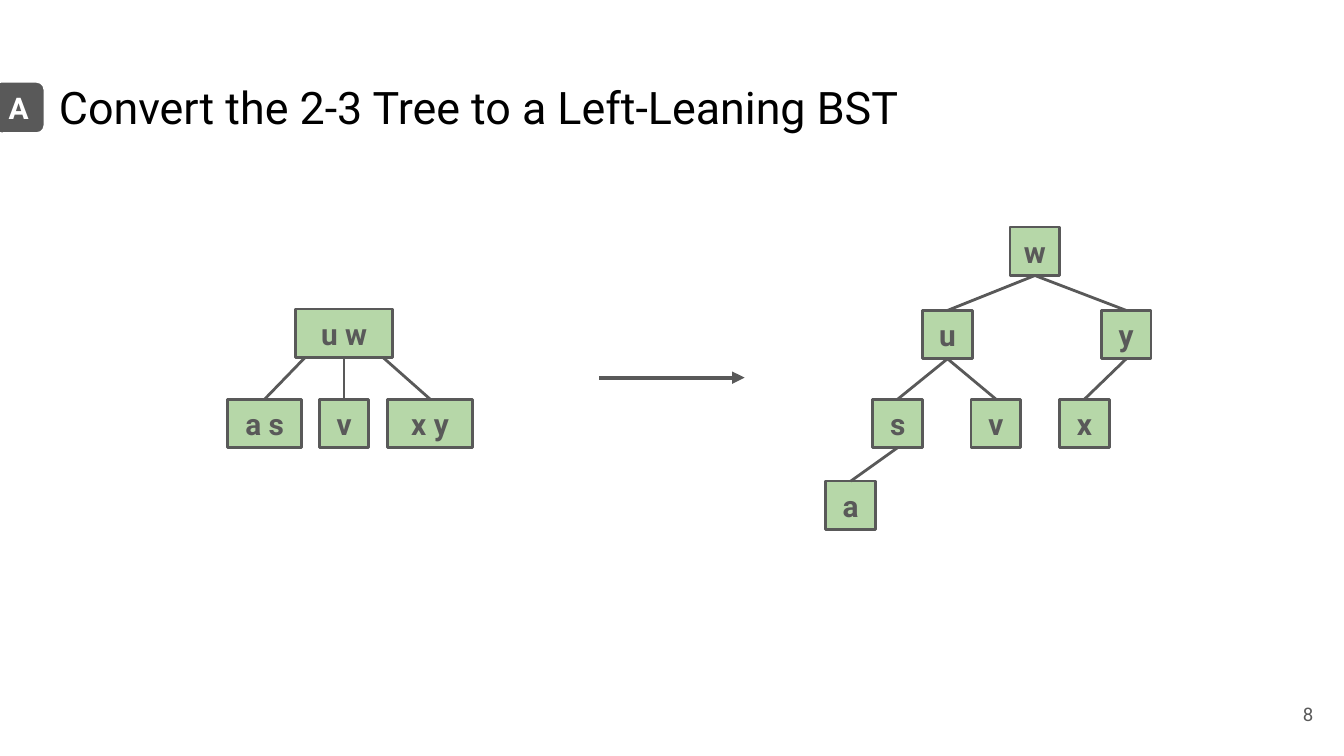
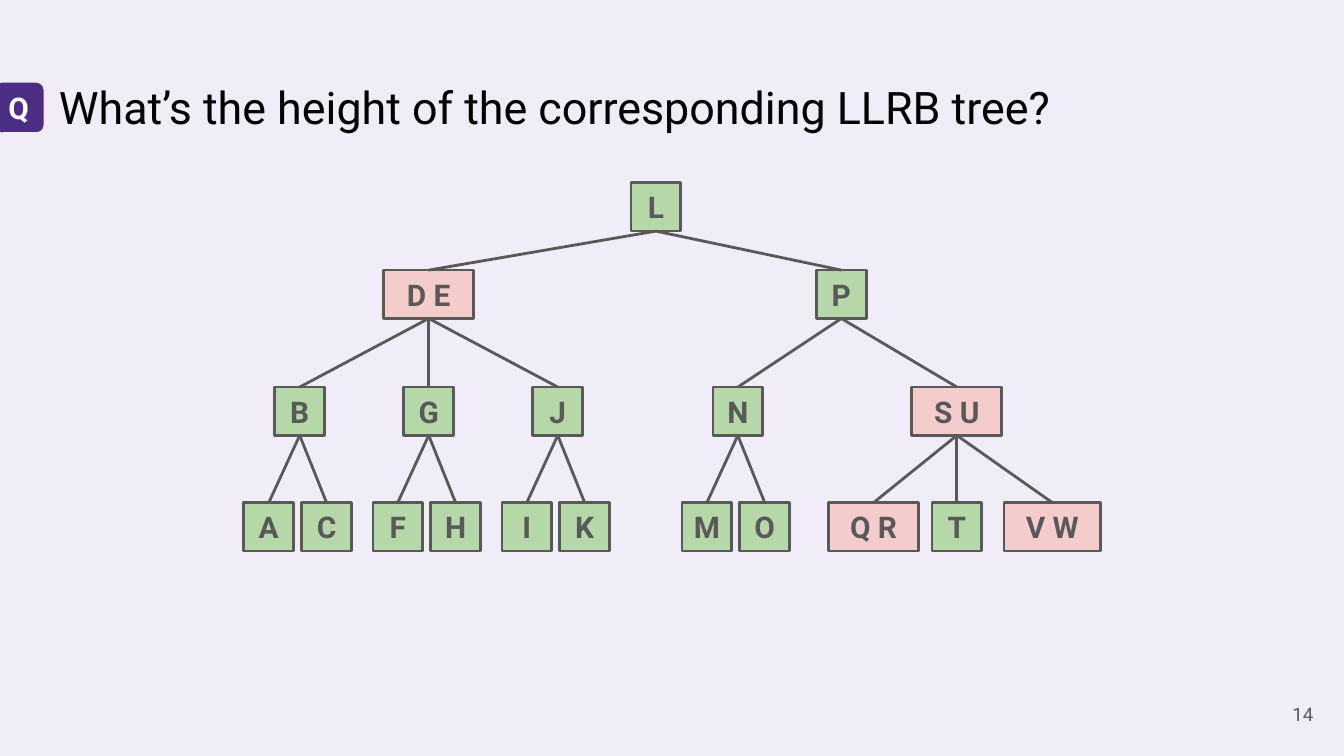
from dataclasses import dataclass

from lxml.etree import SubElement
from pptx import Presentation
from pptx.dml.color import RGBColor
from pptx.enum.shapes import MSO_CONNECTOR as CONN, MSO_SHAPE as SHAPE
from pptx.enum.text import MSO_ANCHOR as ANCHOR, PP_ALIGN as ALIGN
from pptx.oxml.ns import qn
from pptx.util import Inches, Pt


@dataclass(frozen=True)
class Theme:
    font: str = "Roboto"
    title_size: int = 24
    key_size: int = 16
    number_size: int = 10
    thin: float = 1.5
    thick: float = 2.25
    black: str = "000000"
    white: str = "FFFFFF"
    gray: str = "595959"
    purple: str = "4B2E83"
    lavender: str = "F0ECF8"
    green: str = "B6D7A8"
    pink: str = "F4CCCC"


T = Theme()

NODE_H = 0.36
ONE_KEY, TWO_KEYS = 0.37, 0.67
WIDTHS = {"a s": 0.55, "x y": 0.63, "u w": 0.72, "V W": 0.72}
LEAF_OFFSETS = (-0.23, 0.2)


def with_leaves(key, x, leaves):
    return key, x, [(leaf, x + dx, []) for leaf, dx in zip(leaves, LEAF_OFFSETS)]


TWO_THREE_TREE = ("u w", 2.56, [("a s", 1.97, []), ("v", 2.56, []), ("x y", 3.2, [])])

LEFT_LEANING_TREE = ("w", 7.7, [
    ("u", 7.05, [("s", 6.68, [("a", 6.33, [])]), ("v", 7.41, [])]),
    ("y", 8.38, [("x", 8.07, [])]),
])

QUESTION_TREE = ("L", 4.88, [
    ("D E", 3.19, [
        with_leaves("B", 2.23, "AC"),
        with_leaves("G", 3.19, "FH"),
        with_leaves("J", 4.15, "IK"),
    ]),
    ("P", 6.26, [
        with_leaves("N", 5.49, "MO"),
        ("S U", 7.12, [("Q R", 6.5, []), ("T", 7.12, []), ("V W", 7.83, [])]),
    ]),
])

SLIDES = [
    dict(title="Convert the 2-3 Tree to a Left-Leaning BST", number="8",
         tag="A", tag_fill=T.gray, back=T.white, pair_fill=T.green,
         trees=[dict(root=TWO_THREE_TREE, tops=(2.3, 2.97), spread=0.29),
                dict(root=LEFT_LEANING_TREE, tops=(1.69, 2.31, 2.97, 3.58))],
         arrow=((4.46, 2.81), (5.54, 2.81))),
    dict(title="What’s the height of the corresponding LLRB tree?", number="14",
         tag="Q", tag_fill=T.purple, back=T.lavender, pair_fill=T.pink,
         trees=[dict(root=QUESTION_TREE, tops=(1.36, 2.01, 2.88, 3.74))]),
]


def rgb(color):
    return RGBColor.from_string(color)


def write(sp, text, size, color, align=ALIGN.CENTER, anchor=ANCHOR.MIDDLE,
          bold=False, wrap=False):
    tf = sp.text_frame
    tf.word_wrap = wrap
    tf.vertical_anchor = anchor
    tf.margin_left = tf.margin_right = tf.margin_top = tf.margin_bottom = Inches(0.1)
    p = tf.paragraphs[0]
    p.alignment = align
    r = p.add_run()
    r.text = text
    r.font.name, r.font.size, r.font.bold = T.font, Pt(size), bold
    r.font.color.rgb = rgb(color)


def add_label(s, box, text, size, color, **style):
    sp = s.shapes.add_textbox(*map(Inches, box))
    write(sp, text, size, color, wrap=True, **style)


def add_box(shapes, kind, box, text, fill, line, width, color):
    sp = shapes.add_shape(kind, *map(Inches, box))
    sp.shadow.inherit = False
    sp.fill.solid()
    sp.fill.fore_color.rgb = rgb(fill)
    sp.line.color.rgb = rgb(line)
    sp.line.width = Pt(width)
    write(sp, text, T.key_size, color, bold=True)
    return sp


def add_line(shapes, start, end, width, arrow=False):
    cx = shapes.add_connector(CONN.STRAIGHT, *map(Inches, (*start, *end)))
    cx.line.color.rgb = rgb(T.gray)
    cx.line.width = Pt(width)
    if arrow:
        SubElement(cx.line._get_or_add_ln(), qn("a:tailEnd"), type="triangle")
    SubElement(cx._element.spPr, qn("a:effectLst"))
    return cx


def add_node(shapes, node, tops, pair_fill, spread=0):
    key, x, children = node
    top, *lower_tops = tops
    paired = " " in key
    w = WIDTHS.get(key, TWO_KEYS if paired else ONE_KEY)
    sp = add_box(shapes, SHAPE.RECTANGLE, (x - w / 2, top, w, NODE_H), key,
                 pair_fill if paired else T.green, T.gray, T.thin, T.gray)
    for i, child in enumerate(children):
        child_sp = add_node(shapes, child, lower_tops, pair_fill)
        shift = spread * (i - (len(children) - 1) / 2)
        cx = add_line(shapes, (x + shift, top + NODE_H),
                      (child[1], lower_tops[0]), T.thin)
        if shift == 0:
            cx.begin_connect(sp, 2)
        cx.end_connect(child_sp, 0)
    return sp


def add_frame(s, title, number, tag, tag_fill, back):
    s.background.fill.solid()
    s.background.fill.fore_color.rgb = rgb(back)
    add_label(s, (0.34, 0.49, 9.32, 0.63), title, T.title_size, T.black,
              align=ALIGN.LEFT, anchor=ANCHOR.TOP)
    add_label(s, (9.27, 5.1, 0.6, 0.43), number, T.number_size, T.gray,
              align=ALIGN.RIGHT)
    add_box(s.shapes, SHAPE.ROUNDED_RECTANGLE, (-0.06, 0.6, 0.4, 0.4), tag,
            tag_fill, back, T.thick, T.white)


def add_slide(prs, trees, pair_fill, arrow=None, **frame):
    s = prs.slides.add_slide(prs.slide_layouts[6])
    add_frame(s, **frame)
    for tree in trees:
        group = s.shapes.add_group_shape()
        add_node(group.shapes, tree["root"], tree["tops"], pair_fill,
                 tree.get("spread", 0))
    if arrow:
        add_line(s.shapes, *arrow, T.thick, arrow=True)


def main():
    prs = Presentation()
    prs.slide_width = Inches(10)
    prs.slide_height = prs.slide_width * 9 // 16
    for content in SLIDES:
        add_slide(prs, **content)
    prs.save("out.pptx")


if __name__ == "__main__":
    main()
